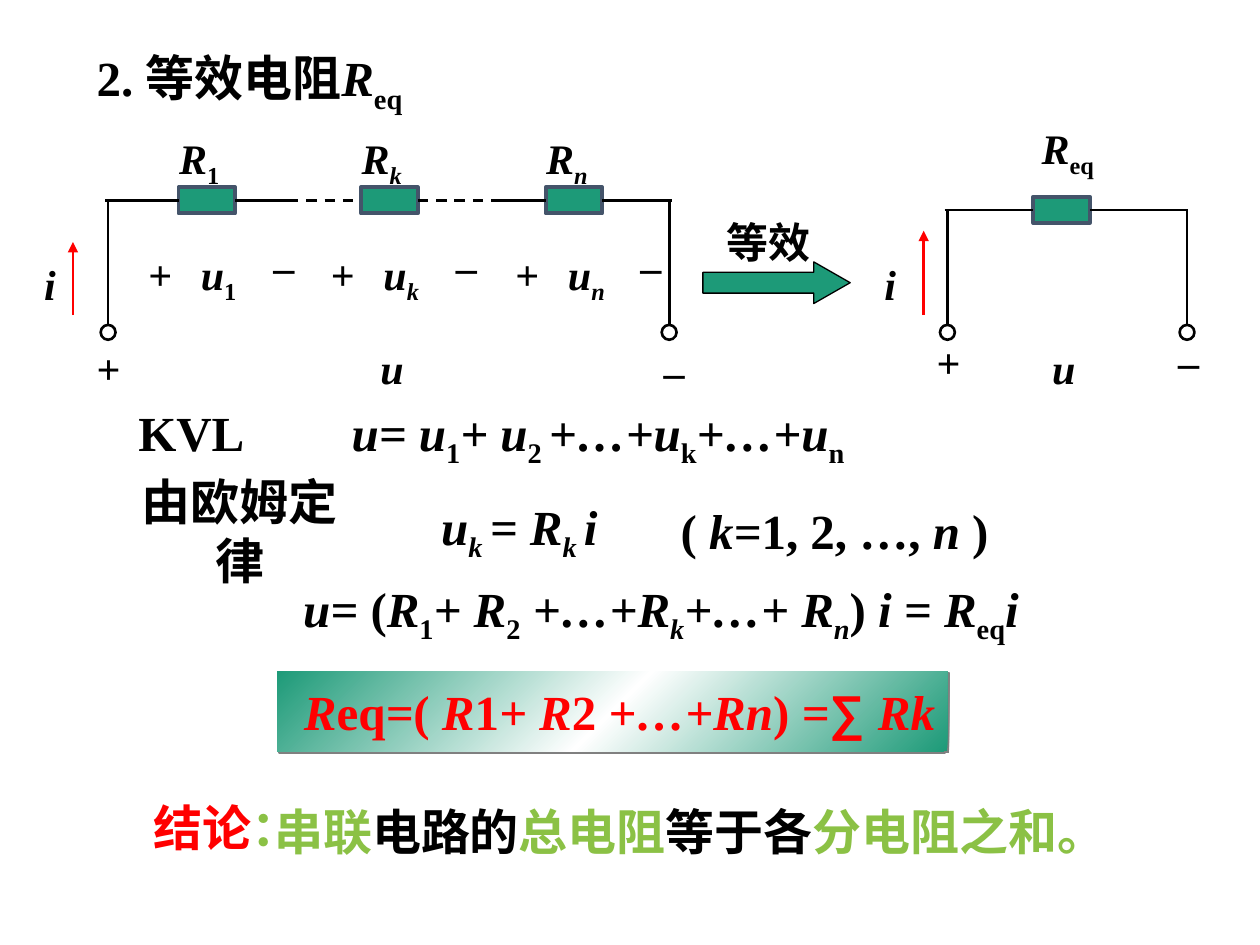
from copy import deepcopy
from pptx import Presentation
from pptx.dml.color import RGBColor
from pptx.enum.dml import MSO_LINE
from pptx.enum.shapes import MSO_CONNECTOR, MSO_SHAPE
from pptx.enum.text import MSO_ANCHOR, PP_ALIGN
from pptx.oxml import parse_xml
from pptx.oxml.ns import nsdecls, qn
from pptx.util import Cm, Pt


class Theme:
    ink, red, lime = "000000", "FF0000", "8BC145"
    teal, slate, white, gray = "1D9A78", "44546A", "FFFFFF", "808080"
    font, sign = "Times New Roman", "Arial"
    big, small = 28, 24
    wire, edge, thin = 1.5, 2.25, 0.75


LEFT, MID, RIGHT = PP_ALIGN.LEFT, PP_ALIGN.CENTER, PP_ALIGN.RIGHT

# Runs are (text, style, colour): i italic, s subscript, a sign font
TITLE = [("2. 等效电阻", ""), ("R", "i"), ("eq", "s")]
KVL = [("KVL\t", ""), ("u= u", "i"), ("1", "s"), ("+ u", "i"), ("2 ", "s"),
       ("+…+u", "i"), ("k", "s"), ("+…+u", "i"), ("n", "s")]
OHM = [("u", "i"), ("k ", "is"), ("= R", "i"), ("k ", "is"), ("i", "i")]
RANGE = [("( ", ""), ("k=", "i"), ("1, 2, …, ", ""), ("n ", "i"), (")", "")]
TOTAL = [("u= ", "i"), ("(", ""), ("R", "i"), ("1", "s"), ("+ R", "i"), ("2", "s"),
         (" +…+R", "i"), ("k", "is"), ("+…+ R", "i"), ("n", "is"), (")", ""),
         (" i = R", "i"), ("eq", "s"), ("i", "i")]
RESULT = [("R", "i"), ("eq", ""), ("=", "i"), ("( ", ""), ("R", "i"), ("1", ""),
          ("+ R", "i"), ("2", ""), (" +…+Rn", "i"), (")", ""), (" =", "i"),
          ("∑ ", "a"), ("Rk", "i")]
CLOSE = [("结论", "", Theme.red), ("：", "", Theme.lime)]
SUM = [("串联", "", Theme.lime), ("电路的", ""), ("总电阻", "", Theme.lime),
       ("等于各", ""), ("分电阻之和。", "", Theme.lime)]

# runs, left, top, width, height, alignment, wrap
LINES = [
    (TITLE, 1.7, 0.84, 8.46, 1.6, LEFT, True),
    (KVL, 2.54, 7.98, 15.65, 1.6, LEFT, True),
    ([("由欧姆定律", "")], 2.13, 9.96, 5.4, 1.45, MID, False),
    (OHM, 8.64, 9.88, 3.66, 1.6, MID, False),
    (RANGE, 12.7, 9.96, 8.25, 1.45, MID, True),
    (TOTAL, 4.65, 11.53, 17.35, 1.6, MID, True),
    (CLOSE, 2.41, 15.95, 4.34, 1.45, MID, True),
    (SUM, 5.28, 16.03, 18.21, 1.45, LEFT, True),
]
# runs, left, top, width
MARKS = [
    ([("等效", "")], 14.4, 4.24, 2.54),
    ([("i", "i")], 0.64, 5.08, 0.84),
    ([("+", "")], 1.7, 6.78, 0.84),
    ([("u", "i")], 7.42, 6.78, 1.42),
    ([("_", "")], 13.13, 6.55, 0.84),
    ([("i", "i")], 17.58, 5.08, 0.84),
    ([("+", "")], 18.63, 6.65, 0.84),
    ([("u", "i")], 20.96, 6.78, 1.07),
    ([("_", "")], 23.5, 6.35, 0.84),
    ([("R", "i"), ("eq", "s")], 20.75, 2.34, 2.97),
]
SERIES = [(3.6, "1", "s"), (7.28, "k", "is"), (11.0, "n", "is")]
KVL_TAB = 4.3
ROW, REQ_ROW = 4.04, 4.23          # heights of the top wires
REQ_X = 20.83
BOX_W, BOX_H, RING = 1.14, 0.53, 0.3
RING_TOP = 6.55
POLES = [(2.18, ROW), (13.49, ROW), (19.1, REQ_ROW), (23.93, REQ_ROW)]
FLOWS = [(1.47, 6.35, 4.88), (18.62, 6.35, 4.65)]

deck = Presentation()
deck.slide_width, deck.slide_height = Cm(25.4), Cm(19.05)
page = deck.slides.add_slide(deck.slide_layouts[6]).shapes


def tint(code):
    return RGBColor.from_string(code)


def fill_text(frame, runs, size, align=LEFT, wrap=True, base=Theme.ink):
    frame.word_wrap = wrap
    line = frame.paragraphs[0]
    line.alignment = align
    for text, style, *hue in runs:
        run = line.add_run()
        run.text = text
        font = run.font
        font.size, font.bold, font.italic = Pt(size), True, "i" in style
        font.name = Theme.sign if "a" in style else Theme.font
        font.color.rgb = tint(hue[0] if hue else base)
        if "s" in style:
            run._r.get_or_add_rPr().set("baseline", "-25000")


def write(runs, x, y, w, h, size, align=LEFT, wrap=True):
    frame = page.add_textbox(Cm(x), Cm(y), Cm(w), Cm(h)).text_frame
    fill_text(frame, runs, size, align, wrap)
    return frame


def mark(runs, x, y, w):
    write(runs, x, y, w, 1.27, Theme.small)


def draw(kind, x, y, w, h, fill=None, line=None, width=Theme.wire):
    shape = page.add_shape(kind, Cm(x), Cm(y), Cm(w), Cm(h))
    shape.shadow.inherit = False
    if fill:
        shape.fill.solid()
        shape.fill.fore_color.rgb = tint(fill)
    else:
        shape.fill.background()
    if line:
        shape.line.color.rgb = tint(line)
        shape.line.width = Pt(width)
    else:
        shape.line.fill.background()
    return shape


def resist(x, row):
    return draw(MSO_SHAPE.RECTANGLE, x, row - BOX_H / 2, BOX_W, BOX_H,
                Theme.teal, Theme.slate, Theme.edge)


def wire(start, end, dash=False, head=False, hue=Theme.ink):
    """Each end is a point in cm, or a (shape, site) pair to join."""
    def spot(place):
        return [0, 0] if hasattr(place[0], "shape_id") else [Cm(v) for v in place]

    link = page.add_connector(MSO_CONNECTOR.STRAIGHT, *spot(start), *spot(end))
    for place, join in ((start, link.begin_connect), (end, link.end_connect)):
        if hasattr(place[0], "shape_id"):
            join(*place)
    link.line.color.rgb = tint(hue)
    link.line.width = Pt(Theme.wire)
    if dash:
        link.line.dash_style = MSO_LINE.DASH
    if head:
        tip = parse_xml(f'<a:tailEnd {nsdecls("a")} type="triangle"/>')
        link.line._get_or_add_ln().append(tip)
    link._element.spPr.append(parse_xml(f'<a:effectLst {nsdecls("a")}/>'))


# Series circuit
loads = []
for x, sub, style in SERIES:
    loads.append(resist(x, ROW))
    mark([("R", "i"), (sub, style)], x - 0.24, 2.54, 1.7)
    mark([("u", "i"), (sub, style)], x + 0.2, 4.88, 1.7)
    mark([("+", "")], x - 0.86, 4.88, 0.84)
    mark([("_", "")], x + 1.66, 4.45, 0.84)
first, kth, last = loads
wire((2.12, ROW), (first, 1))
wire((first, 3), (5.8, ROW))
wire((5.8, ROW), (kth, 1), dash=True)
wire((kth, 3), (9.95, ROW), dash=True)
wire((9.95, ROW), (last, 1))
wire((last, 3), (13.55, ROW))

# Equivalent circuit
whole = resist(REQ_X, REQ_ROW)
wire((19.04, REQ_ROW), (whole, 1))
wire((whole, 3), (23.95, REQ_ROW))

for x, row in POLES:
    ring = draw(MSO_SHAPE.OVAL, x - RING / 2, RING_TOP, RING, RING, line=Theme.ink)
    wire((x, row), (ring, 0))
for x, low, high in FLOWS:
    wire((x, low), (x, high), head=True, hue=Theme.red)

arrow = draw(MSO_SHAPE.RIGHT_ARROW, 14.17, 5.28, 2.97, 0.84,
             Theme.teal, Theme.ink, Theme.thin)
arrow.adjustments[0], arrow.adjustments[1] = 0.5, 0.875
for item in MARKS:
    mark(*item)

# Derivation and conclusion
for runs, x, y, w, h, align, wrap in LINES:
    frame = write(runs, x, y, w, h, Theme.big, align, wrap)
    frame.vertical_anchor = MSO_ANCHOR.MIDDLE
    if runs is KVL:
        tabs = parse_xml(f'<a:tabLst {nsdecls("a")}>'
                         f'<a:tab pos="{Cm(KVL_TAB)}" algn="l"/></a:tabLst>')
        frame.paragraphs[0]._p.get_or_add_pPr().append(tabs)

panel = draw(MSO_SHAPE.RECTANGLE, 5.59, 13.53, 13.51, 1.62)
panel.fill.gradient()
panel.fill.gradient_angle = 315
stops = panel._element.spPr.find(".//" + qn("a:gsLst"))
stops.insert(1, deepcopy(stops[0]))
for stop, place, hue in zip(panel.fill.gradient_stops, (0, 0.5, 1),
                            (Theme.teal, Theme.white, Theme.teal)):
    stop.position = place
    stop.color.rgb = tint(hue)
panel._element.spPr.find(qn("a:effectLst")).append(parse_xml(
    f'<a:outerShdw {nsdecls("a")} blurRad="0" dist="{Pt(1.4)}" dir="2700000">'
    f'<a:srgbClr val="{Theme.gray}"/></a:outerShdw>'))
fill_text(panel.text_frame, RESULT, Theme.big, RIGHT, base=Theme.red)

deck.save("out.pptx")
